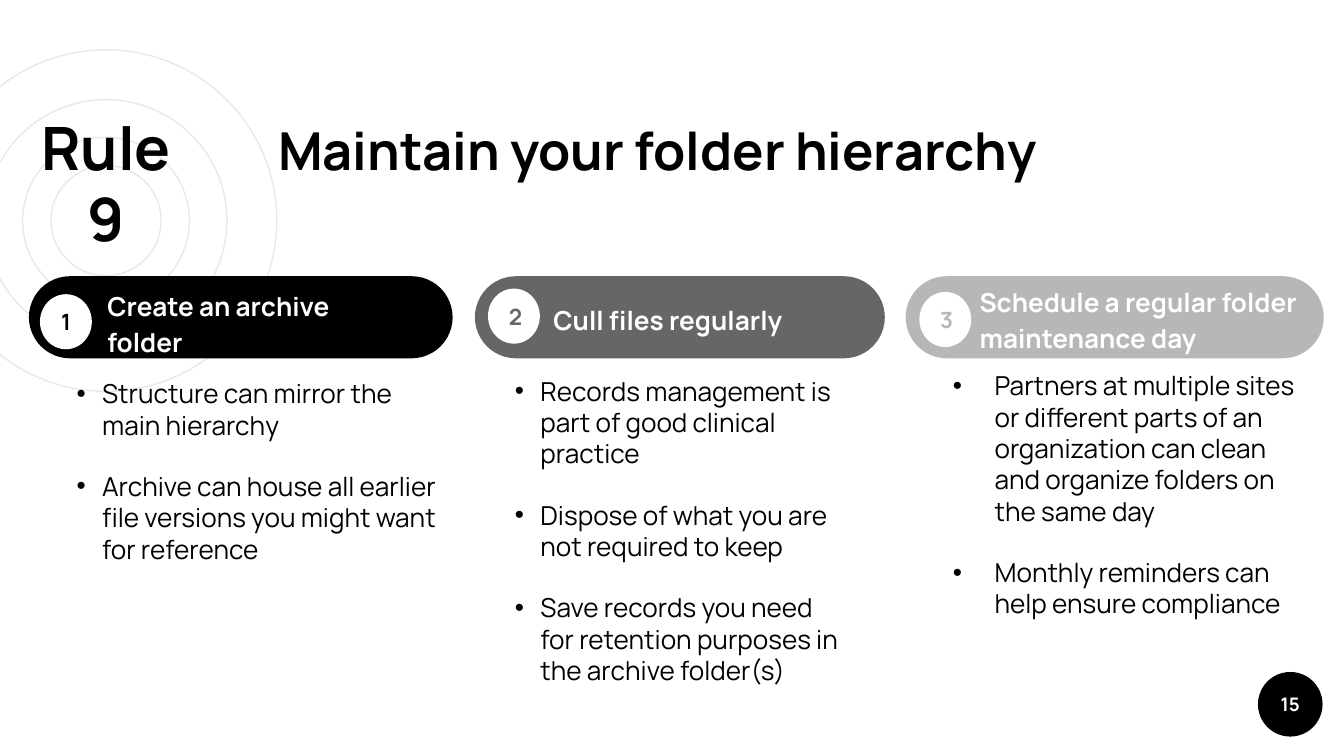
from dataclasses import dataclass
from lxml.etree import SubElement
from pptx import Presentation
from pptx.dml.color import RGBColor
from pptx.enum.shapes import MSO_SHAPE
from pptx.enum.text import MSO_ANCHOR, MSO_AUTO_SIZE, PP_ALIGN
from pptx.oxml.ns import qn
from pptx.util import Pt


@dataclass(frozen=True)
class Theme:
    font: str = "Manrope"
    ink: str = "000000"
    paper: str = "FFFFFF"
    ring: str = "E8E8E8"
    mid: str = "666666"
    light: str = "B7B7B7"
    rule: float = 32
    title: float = 28
    body: float = 14
    badge: float = 12
    number: float = 10
    inset: float = 7.2


class Deck:
    def __init__(self, theme):
        self.t = theme
        self.prs = Presentation()
        self.prs.slide_width, self.prs.slide_height = Pt(720), Pt(405)
        self.s = self.prs.slides.add_slide(self.prs.slide_layouts[4])

    def set_text(self, sp, lines, size, color, bold=True, align=PP_ALIGN.LEFT,
                 anchor=MSO_ANCHOR.MIDDLE, spacing=1, after=0, indent=None):
        tf = sp.text_frame
        tf.word_wrap, tf.auto_size = True, MSO_AUTO_SIZE.NONE
        tf.vertical_anchor = anchor
        tf.margin_left = tf.margin_right = Pt(self.t.inset)
        tf.margin_top = tf.margin_bottom = Pt(self.t.inset)
        for i, line in enumerate(lines):
            p = tf.add_paragraph() if i else tf.paragraphs[0]
            p.alignment, p.line_spacing = align, spacing
            p.space_before, p.space_after = Pt(0), Pt(after)
            if indent:
                self.bullet(p, indent)
            r = p.add_run()
            r.text = line
            r.font.name, r.font.size, r.font.bold = self.t.font, Pt(size), bold
            r.font.color.rgb = RGBColor.from_string(color)

    def bullet(self, p, indent):
        pPr = p._p.get_or_add_pPr()
        pPr.set("marL", str(Pt(indent)))
        pPr.set("indent", str(-Pt(indent)))
        clr = SubElement(pPr, qn("a:buClr"))
        SubElement(clr, qn("a:srgbClr")).set("val", self.t.ink)
        SubElement(pPr, qn("a:buChar")).set("char", "•")

    def shape(self, kind, box, fill=None, line=None):
        sp = self.s.shapes.add_shape(kind, *map(Pt, box))
        sp.shadow.inherit = False
        if fill:
            sp.fill.solid()
            sp.fill.fore_color.rgb = RGBColor.from_string(fill)
        else:
            sp.fill.background()
        if line:
            sp.line.color.rgb = RGBColor.from_string(line)
            sp.line.width = Pt(0.75)
        else:
            sp.line.fill.background()
        return sp

    def ring(self, cx, cy, d):
        self.shape(MSO_SHAPE.OVAL, (cx - d / 2, cy - d / 2, d, d), line=self.t.ring)

    def pill(self, box, fill):
        self.shape(MSO_SHAPE.ROUNDED_RECTANGLE, box, fill).adjustments[0] = 0.5

    def badge(self, box, text, size, fill, color):
        sp = self.shape(MSO_SHAPE.OVAL, box, fill)
        self.set_text(sp, [text], size, color, align=PP_ALIGN.CENTER)

    def heading(self, box, text):
        sp = self.s.shapes.add_textbox(*map(Pt, box))
        self.set_text(sp, [text], self.t.body, self.t.paper, spacing=1.15)

    def placeholder(self, idx, box, lines, size, **style):
        sp = next(ph for ph in self.s.placeholders if ph.placeholder_format.idx == idx)
        sp.left, sp.top, sp.width, sp.height = map(Pt, box)
        sp.element.getparent().append(sp.element)
        self.set_text(sp, lines, size, self.t.ink, **style)

    def bullets(self, idx, box, lines, indent):
        self.placeholder(idx, box, lines, self.t.body, bold=False,
                         anchor=MSO_ANCHOR.TOP, after=16, indent=indent)


def main():
    t = Theme()
    deck = Deck(t)
    for d in (183, 129.6, 89.3, 59):
        deck.ring(56.8, 118.2, d)
    deck.badge((673.9, 360, 34.6, 34.6), "15", t.number, t.ink, t.paper)
    deck.placeholder(0, (141.8, 56.2, 513.4, 54), ["Maintain your folder hierarchy"],
                     t.title, anchor=MSO_ANCHOR.TOP)
    deck.placeholder(1, (4.3, 48.2, 105.1, 95), ["Rule 9"], t.rule,
                     align=PP_ALIGN.CENTER, anchor=MSO_ANCHOR.BOTTOM)

    columns = [
        (t.ink, (15.5, 227), (21.4, 157.6), (50.4, 157, 174.2),
         "Create an archive folder", 2, (33.8, 195.1, 216, 39.6), 13.7,
         ["Structure can mirror the main hierarchy",
          "Archive can house all earlier file versions you might want for reference"]),
        (t.mid, (254.4, 219.6), (261.4, 154.6), (289.4, 154.8, 168.5),
         "Cull files regularly", 3, (268.6, 193.7, 191.5, 175), 13.7,
         ["Records management is part of good clinical practice",
          "Dispose of what you are not required to keep",
          "Save records you need for retention purposes in the archive folder(s)"]),
        (t.light, (485.2, 224), (492.5, 156.4), (517.7, 154.8, 191.5),
         "Schedule a regular folder maintenance day", 4, (503.3, 190.8, 204.5, 39.6), 22.3,
         ["Partners at multiple sites or different parts of an organization "
          "can clean and organize folders on the same day",
          "Monthly reminders can help ensure compliance"]),
    ]
    for n, (color, (x, w), dot, (hx, hy, hw), title, idx, box, indent, lines) in enumerate(columns, 1):
        deck.pill((x, 148, w, 44), color)
        deck.badge((*dot, 27.8, 29.5), str(n), t.badge, t.paper, color)
        deck.heading((hx, hy, hw, 31), title)
        deck.bullets(idx, box, lines, indent)
    deck.prs.save("out.pptx")


if __name__ == "__main__":
    main()
